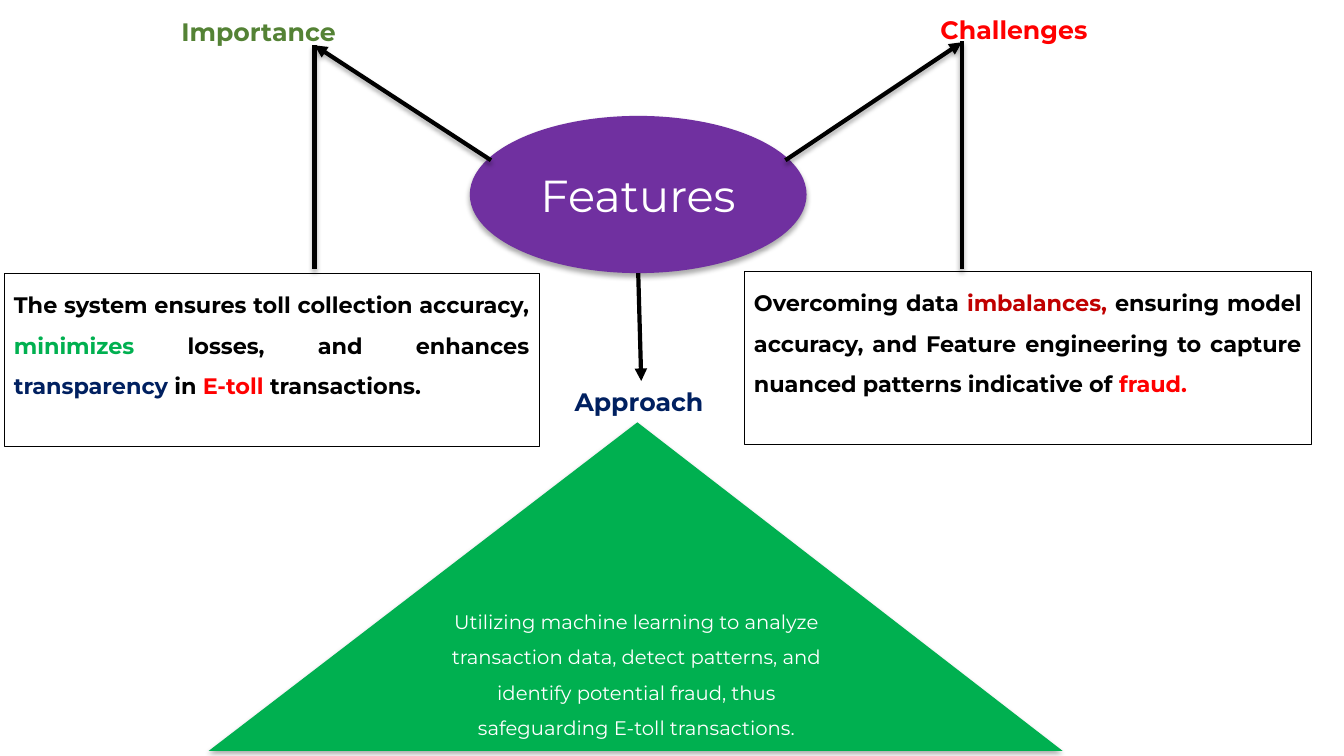
from lxml import etree
from pptx import Presentation
from pptx.dml.color import RGBColor
from pptx.enum.shapes import MSO_CONNECTOR, MSO_SHAPE
from pptx.enum.text import MSO_ANCHOR, PP_ALIGN
from pptx.oxml import parse_xml
from pptx.oxml.ns import nsdecls, qn
from pptx.util import Inches, Pt

FONT = "Montserrat"
BLACK = RGBColor(0x00, 0x00, 0x00)
WHITE = RGBColor(0xFF, 0xFF, 0xFF)
PURPLE = RGBColor(0x70, 0x30, 0xA0)
GREEN = RGBColor(0x00, 0xB0, 0x50)
OLIVE = RGBColor(0x54, 0x82, 0x35)
NAVY = RGBColor(0x00, 0x20, 0x60)
RED = RGBColor(0xFF, 0x00, 0x00)
DARK_RED = RGBColor(0xC0, 0x00, 0x00)

IMPORTANCE = [
    ("The system ensures toll collection accuracy, ", BLACK),
    ("minimizes", GREEN),
    (" losses, and enhances ", BLACK),
    ("transparency", NAVY),
    (" in ", BLACK),
    ("E-toll ", RED),
    ("transactions.", BLACK),
]
CHALLENGES = [
    ("Overcoming data ", BLACK),
    ("imbalances,", DARK_RED),
    (" ensuring model accuracy, and Feature engineering to capture "
     "nuanced patterns indicative of ", BLACK),
    ("fraud.", RED),
]
APPROACH = ("Utilizing machine learning to analyze transaction data, detect patterns, "
            "and identify potential fraud, thus safeguarding E-toll transactions.")


def set_shadow(s, visible):
    """Give the shape a soft shadow below it, or an empty effect list."""
    shadow = ('<a:outerShdw blurRad="44450" dist="27940" dir="5400000" algn="ctr">'
              '<a:srgbClr val="000000"><a:alpha val="32000"/></a:srgbClr>'
              '</a:outerShdw>') if visible else ""
    spPr = s._element.spPr
    for old in spPr.findall(qn("a:effectLst")):
        spPr.remove(old)
    spPr.append(parse_xml(f'<a:effectLst {nsdecls("a")}>{shadow}</a:effectLst>'))


def write(s, runs, size, bold=False, align=PP_ALIGN.LEFT, spacing=None,
          anchor=MSO_ANCHOR.TOP):
    """Fill the shape with one paragraph of (text, colour) runs."""
    tf = s.text_frame
    tf.word_wrap = True
    tf.vertical_anchor = anchor
    p = tf.paragraphs[0]
    p.alignment = align
    if spacing:
        p.line_spacing = spacing
    for text, color in runs:
        r = p.add_run()
        r.text = text
        r.font.name = FONT
        r.font.size = Pt(size)
        r.font.bold = bold
        r.font.color.rgb = color


def add_heading(slide, text, color, x, y, width):
    s = slide.shapes.add_textbox(Inches(x), Inches(y), Inches(width), Inches(0.4))
    write(s, [(text, color)], 18, bold=True)


def add_filled(slide, kind, x, y, width, height, color):
    s = slide.shapes.add_shape(kind, Inches(x), Inches(y), Inches(width), Inches(height))
    s.fill.solid()
    s.fill.fore_color.rgb = color
    s.line.fill.background()
    set_shadow(s, True)
    return s


def add_box(slide, runs, x, y, width):
    s = slide.shapes.add_shape(MSO_SHAPE.RECTANGLE, Inches(x), Inches(y),
                               Inches(width), Inches(1.72))
    s.shadow.inherit = False
    s.fill.background()
    s.line.color.rgb = BLACK
    s.line.width = Pt(0.75)
    write(s, runs, 16, bold=True, align=PP_ALIGN.JUSTIFY, spacing=1.5)


def add_line(slide, start, end, arrow=False, shadow=True):
    s = slide.shapes.add_connector(MSO_CONNECTOR.STRAIGHT,
                                   *(Inches(v) for v in start + end))
    s.line.color.rgb = BLACK
    s.line.width = Pt(3)
    if arrow:
        etree.SubElement(s.line._get_or_add_ln(), qn("a:tailEnd"), type="triangle")
    set_shadow(s, shadow)


def main():
    prs = Presentation()
    prs.slide_width, prs.slide_height = Inches(13.33), Inches(7.5)
    slide = prs.slides.add_slide(prs.slide_layouts[6])

    features = add_filled(slide, MSO_SHAPE.OVAL, 4.66, 1.15, 3.34, 1.56, PURPLE)
    write(features, [("Features", WHITE)], 32, align=PP_ALIGN.CENTER,
          anchor=MSO_ANCHOR.MIDDLE)

    add_line(slide, (7.79, 1.59), (9.54, 0.42), arrow=True)
    add_line(slide, (4.87, 1.59), (3.12, 0.45), arrow=True)
    add_heading(slide, "Challenges", RED, 9.23, 0.09, 2.14)
    add_heading(slide, "Importance", OLIVE, 1.7, 0.11, 2.25)
    add_heading(slide, "Approach", NAVY, 5.6, 3.78, 1.52)
    add_line(slide, (3.12, 0.45), (3.12, 2.67))
    add_line(slide, (9.54, 0.41), (9.54, 2.67))
    add_box(slide, IMPORTANCE, 0.04, 2.71, 5.31)
    add_box(slide, CHALLENGES, 7.38, 2.69, 5.63)

    approach = add_filled(slide, MSO_SHAPE.ISOSCELES_TRIANGLE, 2.07, 4.19, 8.47, 3.26, GREEN)
    approach.adjustments[0] = 0.502
    write(approach, [(APPROACH, WHITE)], 14, align=PP_ALIGN.CENTER, spacing=1.5,
          anchor=MSO_ANCHOR.MIDDLE)
    add_line(slide, (6.33, 2.71), (6.36, 3.78), arrow=True, shadow=False)

    prs.save("out.pptx")


if __name__ == "__main__":
    main()
